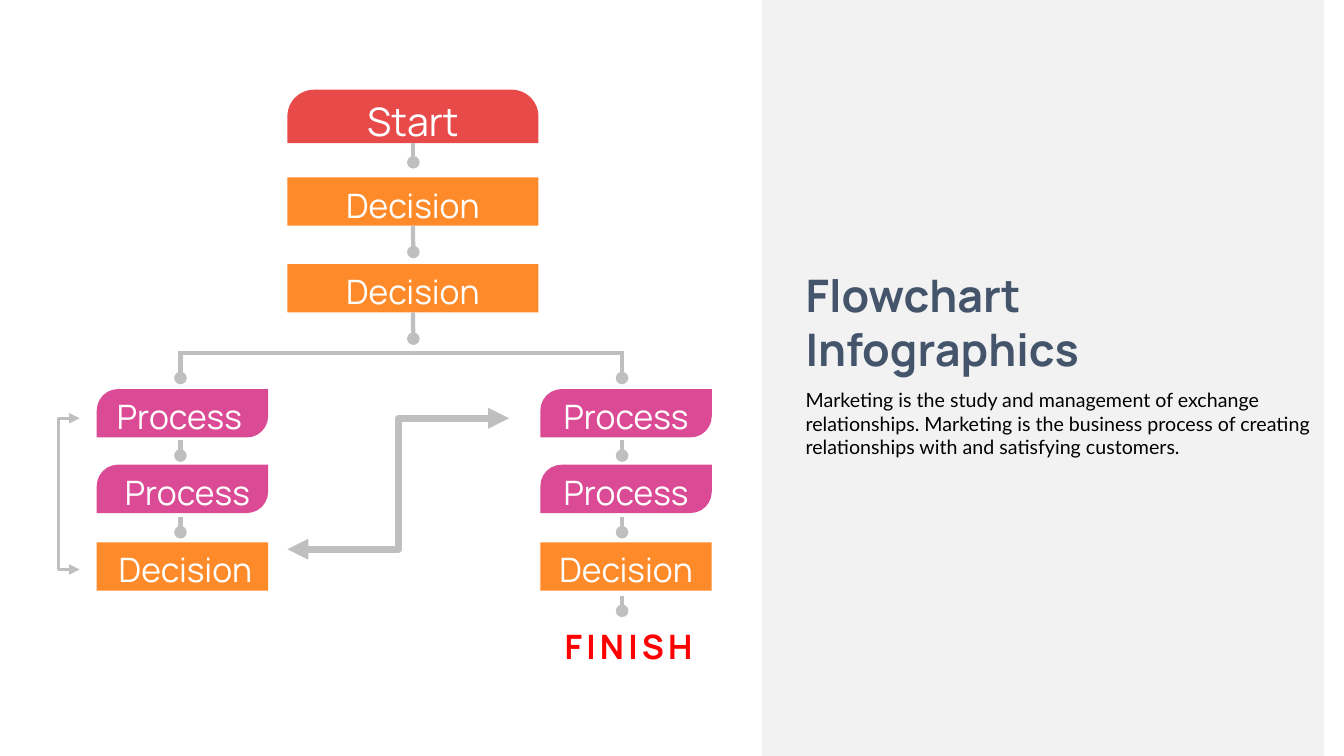
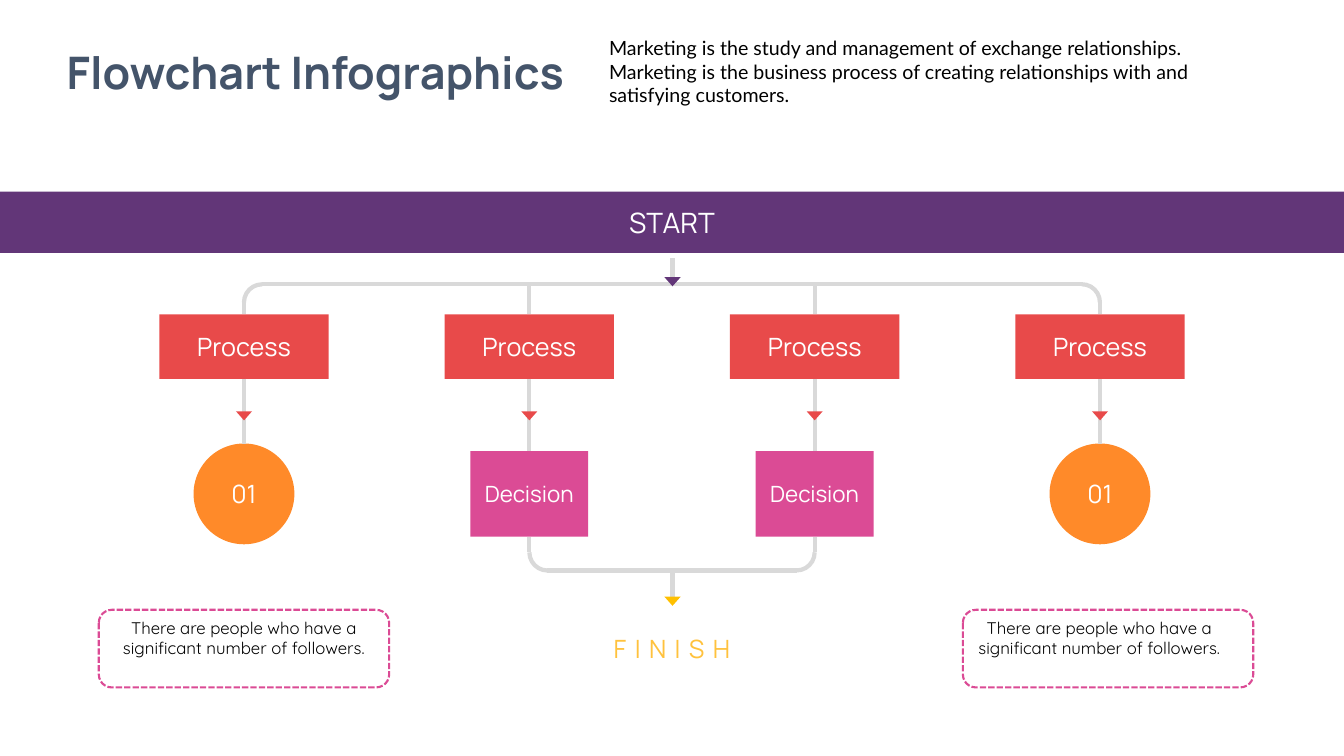
from lxml import etree
from pptx import Presentation
from pptx.dml.color import RGBColor
from pptx.enum.dml import MSO_LINE
from pptx.enum.shapes import MSO_CONNECTOR, MSO_SHAPE
from pptx.enum.text import MSO_ANCHOR, MSO_AUTO_SIZE, PP_ALIGN
from pptx.oxml.ns import qn
from pptx.util import Inches, Pt

RECTANGLE = MSO_SHAPE.RECTANGLE
ROUNDED = MSO_SHAPE.ROUNDED_RECTANGLE
DIAGONAL = MSO_SHAPE.ROUND_2_DIAG_RECTANGLE
ROUND_TOP = MSO_SHAPE.ROUND_2_SAME_RECTANGLE
ELLIPSE = MSO_SHAPE.OVAL
TRIANGLE = MSO_SHAPE.ISOSCELES_TRIANGLE
ARC = MSO_SHAPE.ARC
STRAIGHT = MSO_CONNECTOR.STRAIGHT
ELBOW = MSO_CONNECTOR.ELBOW
SQUARE_DOT = MSO_LINE.SQUARE_DOT
CENTER, LEFT = PP_ALIGN.CENTER, PP_ALIGN.LEFT
TOP, MIDDLE = MSO_ANCHOR.TOP, MSO_ANCHOR.MIDDLE
NO_AUTOFIT = MSO_AUTO_SIZE.NONE
TOP_SITE, BOTTOM_SITE = 0, 2

WHITE = RGBColor(0xFF, 0xFF, 0xFF)
BLACK = RGBColor(0, 0, 0)
SLATE = RGBColor(0x44, 0x54, 0x6A)
PANEL_GRAY = RGBColor(0xF2, 0xF2, 0xF2)
LINE_GRAY = RGBColor(0xBF, 0xBF, 0xBF)
PALE_GRAY = RGBColor(0xD9, 0xD9, 0xD9)
RED = RGBColor(0xE8, 0x4A, 0x4A)
ORANGE = RGBColor(0xFF, 0x8A, 0x29)
PINK = RGBColor(0xDB, 0x4B, 0x95)
PURPLE = RGBColor(0x62, 0x36, 0x78)
GOLD = RGBColor(0xFF, 0xC0, 0x00)
FINISH_GOLD = RGBColor(0xFF, 0xC2, 0x3D)
FINISH_RED = RGBColor(0xFF, 0, 0)

HEADING_FONT, BODY_FONT, NOTE_FONT = "Manrope", "Lato", "Quicksand"
TITLE = "Flowchart Infographics"
SUMMARY = (
    "Marketing is the study and management of exchange relationships. "
    "Marketing is the business process of creating relationships with and "
    "satisfying customers."
)
NOTE = "There are people who have a significant number of followers."


def inches(values):
    """Turn numbers into lengths."""
    return [Inches(value) for value in values]


def write(shape, text, size, color, font=HEADING_FONT, align=CENTER,
          anchor=MIDDLE, margins=(0.1, 0.05, 0.1, 0.05), bold=False, spacing=0):
    """Fill a shape's text frame with one formatted paragraph."""
    frame = shape.text_frame
    frame.text = text
    frame.word_wrap = True
    frame.auto_size = NO_AUTOFIT
    frame.vertical_anchor = anchor
    (frame.margin_left, frame.margin_top,
     frame.margin_right, frame.margin_bottom) = inches(margins)
    paragraph = frame.paragraphs[0]
    paragraph.alignment = align
    paragraph.space_before = Pt(0)
    if shape.is_placeholder:
        properties = paragraph._p.get_or_add_pPr()
        properties.set("marL", "0")
        properties.set("indent", "0")
        etree.SubElement(properties, qn("a:buNone"))
    paragraph.font.name = font
    paragraph.font.size = Pt(size)
    paragraph.font.bold = bold
    paragraph.font.color.rgb = color
    if spacing:
        paragraph.runs[0]._r.get_or_add_rPr().set("spc", str(spacing * 100))


def add_box(slide, preset, box, fill=None, adjustments=()):
    """Add a flat shape without an outline."""
    shape = slide.shapes.add_shape(preset, *inches(box))
    shape.shadow.inherit = False
    shape.line.fill.background()
    if fill is None:
        shape.fill.background()
    else:
        shape.fill.solid()
        shape.fill.fore_color.rgb = fill
    for index, value in enumerate(adjustments):
        shape.adjustments[index] = value
    return shape


def add_text(slide, box, text, size, color, **options):
    """Add a text box holding one paragraph."""
    write(slide.shapes.add_textbox(*inches(box)), text, size, color, **options)


def style_line(shape, color, width, head=None, tail=None):
    """Set a line's colour, width and ends."""
    shape.line.color.rgb = color
    shape.line.width = Pt(width)
    outline = shape.line._get_or_add_ln()
    for tag, end in (("a:headEnd", head), ("a:tailEnd", tail)):
        if end:
            etree.SubElement(outline, qn(tag), type=end)


def add_line(slide, begin, end, color, width=3, kind=STRAIGHT, **ends):
    """Add a connector without a shadow between two points."""
    line = slide.shapes.add_connector(kind, *inches((*begin, *end)))
    style_line(line, color, width, **ends)
    etree.SubElement(line._element.spPr, qn("a:effectLst"))
    return line


def fill_heading(slide, title_box, body_box, align):
    """Place the title and summary in the slide's placeholders."""
    title, body = slide.shapes.title, slide.placeholders[1]
    for shape, box in ((title, title_box), (body, body_box)):
        shape.left, shape.top, shape.width, shape.height = inches(box)
    write(title, TITLE, 32, SLATE, align=align, anchor=TOP, bold=True)
    write(body, SUMMARY, 14, BLACK, font=BODY_FONT, align=LEFT, anchor=TOP)


def add_dotted_line(slide, x, top, length):
    """Add a short vertical line that ends in a dot."""
    return add_line(slide, (x, top), (x, top + length), LINE_GRAY, tail="oval")


def add_step(slide, preset, box, fill, text, size=24, drop=0.06, shift=0,
             adjustments=()):
    """Add a flowchart step with its label nudged inside it."""
    shape = add_box(slide, preset, box, fill, adjustments)
    margins = (max(2 * shift, 0), drop, max(-2 * shift, 0), 0)
    write(shape, text, size, WHITE, margins=margins)
    return shape


def add_trunk(slide, left, top):
    """Add the start and the two decisions under it."""
    width, center = 2.49, left + 1.25
    add_step(slide, ROUND_TOP, (left, top, width, 0.53), RED, "Start", 28,
             drop=0, adjustments=(0.5, 0))
    add_dotted_line(slide, center, top + 0.53, 0.19)
    for offset in (0.87, 1.73):
        decision = add_step(slide, RECTANGLE, (left, top + offset, width, 0.48),
                            ORANGE, "Decision")
        line = add_dotted_line(slide, center, top + offset + 0.48, 0.26)
        line.begin_connect(decision, BOTTOM_SITE)


def add_branch(slide, left, top, line_x, shifts):
    """Add a column of two processes and a decision, each led to by a dot."""
    steps = (
        (0, DIAGONAL, PINK, "Process", (0.44, 0)),
        (0.75, DIAGONAL, PINK, "Process", (0.44, 0)),
        (1.52, RECTANGLE, ORANGE, "Decision", ()),
    )
    for (offset, preset, fill, text, adjustments), shift in zip(steps, shifts):
        add_step(slide, preset, (left, top + offset, 1.7, 0.48), fill, text,
                 shift=shift, adjustments=adjustments)
    for offset, length in ((-0.35, 0.24), (0.51, 0.15), (1.27, 0.15)):
        add_dotted_line(slide, line_x, top + offset, length)


def add_loop(slide, left, right, top, bottom):
    """Add a three-sided line with an arrow at both ends."""
    builder = slide.shapes.build_freeform(Inches(right), Inches(top))
    corners = ((left, top), (left, bottom), (right, bottom))
    builder.add_line_segments([inches(point) for point in corners], close=False)
    loop = builder.convert_to_shape()
    loop.shadow.inherit = False
    loop.fill.background()
    style_line(loop, LINE_GRAY, 2.5, head="triangle", tail="triangle")


def build_side_panel_slide(slide):
    """Build the branching flowchart beside a text panel."""
    panel = add_box(slide, RECTANGLE, (7.56, 0, 5.57, 7.5), PANEL_GRAY)
    slide.shapes._spTree.insert(2, panel._element)
    fill_heading(slide, (7.89, 2.61, 3.61, 1.18), (7.89, 3.8, 5.29, 0.81), LEFT)
    left_x, right_x = 1.79, 6.17
    add_trunk(slide, 2.85, 0.89)
    add_line(slide, (left_x - 0.02, 3.5), (right_x + 0.02, 3.5), LINE_GRAY)
    add_branch(slide, 0.96, 3.86, left_x, (-0.03, 0.05, 0.03))
    add_branch(slide, 5.36, 3.86, right_x, (0, 0, 0))
    add_dotted_line(slide, right_x, 5.91, 0.15)
    add_text(slide, (5.53, 6.21, 1.41, 0.4), "FINISH", 24, FINISH_RED,
             margins=(0, 0, 0, 0), bold=True, spacing=3)
    add_loop(slide, 0.58, 0.79, 4.15, 5.65)
    add_line(slide, (2.85, 5.45), (5.05, 4.15), LINE_GRAY, 5, ELBOW,
             head="triangle", tail="triangle")


def add_pointer(slide, center, top, fill):
    """Add a small triangle that points down."""
    add_box(slide, TRIANGLE, (center - 0.08, top, 0.16, 0.09), fill).rotation = 180


def add_bracket(slide, shapes, centers, spine, site):
    """Join the top or bottom of two shapes with a round-cornered bracket."""
    radius = 0.18
    add_line(slide, (centers[0] + radius, spine), (centers[1] - radius, spine),
             PALE_GRAY)
    below = site == TOP_SITE
    leg_start = spine + radius if below else spine - radius
    arc_top = spine if below else spine - 2 * radius
    rotations = (270, 0) if below else (180, 90)
    arc_lefts = (centers[0], centers[1] - 2 * radius)
    for shape, x, left, rotation in zip(shapes, centers, arc_lefts, rotations):
        corner = add_box(slide, ARC, (left, arc_top, 2 * radius, 2 * radius))
        corner.rotation = rotation
        style_line(corner, PALE_GRAY, 3)
        leg = add_line(slide, (x, leg_start), (x, spine), PALE_GRAY)
        leg.end_connect(shape, site)


def add_column(slide, center, top, preset, size, fill, text, text_size):
    """Add a process joined to the result below it; return both."""
    process = add_box(slide, RECTANGLE, (center - 0.84, top, 1.68, 0.64), RED)
    write(process, "Process", 18, WHITE)
    width, height = size
    box = (center - width / 2, top + 1.78 - height / 2, width, height)
    result = add_box(slide, preset, box, fill)
    write(result, text, text_size, WHITE, margins=(0, 0, 0, 0))
    line = add_line(slide, (center, top + 0.64), (center, box[1]), PALE_GRAY)
    line.begin_connect(process, BOTTOM_SITE)
    line.end_connect(result, TOP_SITE)
    add_pointer(slide, center, top + 0.96, RED)
    return process, result


def add_note(slide, left, top, side_margins):
    """Add a dashed note box."""
    note = add_box(slide, ROUNDED, (left, top, 2.88, 0.77))
    style_line(note, PINK, 1.5)
    note.line.dash_style = SQUARE_DOT
    write(note, NOTE, 12, BLACK, font=NOTE_FONT, anchor=TOP,
          margins=(side_margins[0], 0.04, side_margins[1], 0))


def build_wide_band_slide(slide):
    """Build the four-column flowchart under a full-width start band."""
    fill_heading(slide, (0.32, 0.39, 5.62, 0.64), (5.94, 0.31, 6.3, 0.81), CENTER)
    band = add_box(slide, RECTANGLE, (0, 1.9, 13.33, 0.61), PURPLE)
    write(band, "START", 20, WHITE)
    middle, spine, finish_spine = 6.67, 2.82, 5.66
    centers = [2.42 + 2.83 * index for index in range(4)]
    circle = (ELLIPSE, (1, 1), ORANGE, "01", 18)
    decision = (RECTANGLE, (1.17, 0.85), PINK, "Decision", 16)
    columns = [add_column(slide, center, 3.12, *result) for center, result
               in zip(centers, (circle, decision, decision, circle))]
    processes, results = zip(*columns)
    add_bracket(slide, processes[::3], centers[::3], spine, TOP_SITE)
    for center, process in zip(centers[1:3], processes[1:3]):
        drop = add_line(slide, (center, spine), (center, 3.12), PALE_GRAY)
        drop.end_connect(process, TOP_SITE)
    add_line(slide, (middle, 2.56), (middle, spine), PALE_GRAY)
    add_pointer(slide, middle, 2.75, PURPLE)
    add_bracket(slide, results[1:3], centers[1:3], finish_spine, BOTTOM_SITE)
    add_line(slide, (middle, finish_spine), (middle, 5.93), PALE_GRAY)
    add_pointer(slide, middle, 5.92, GOLD)
    add_text(slide, (3.94, 6.13, 5.45, 0.61), "FINISH", 18, FINISH_GOLD, spacing=6)
    add_note(slide, 0.98, 6.05, (0.18, 0.18))
    add_note(slide, 9.55, 6.05, (0.1, 0.27))


def main():
    """Build and save the presentation."""
    presentation = Presentation()
    presentation.slide_width, presentation.slide_height = inches((13.33, 7.5))
    layout = presentation.slide_layouts[1]
    for build in (build_side_panel_slide, build_wide_band_slide):
        build(presentation.slides.add_slide(layout))
    presentation.save("out.pptx")


if __name__ == "__main__":
    main()
